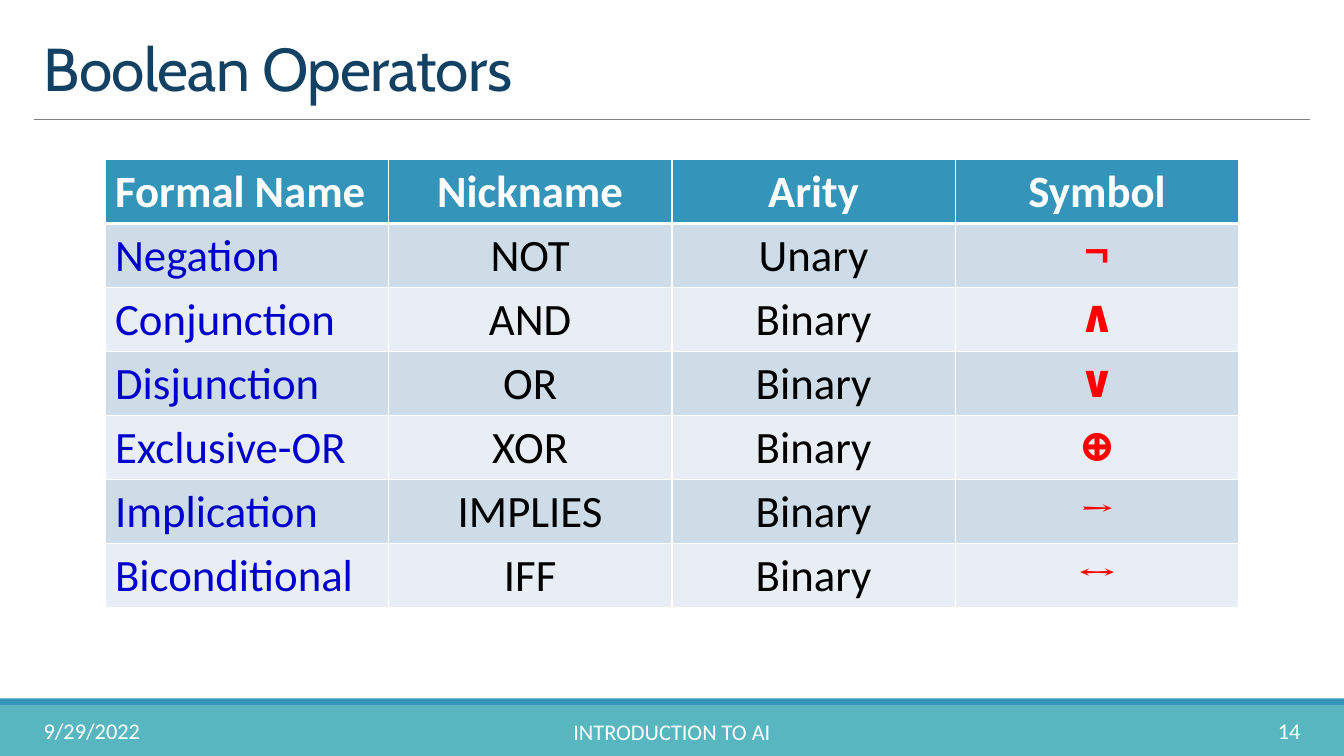
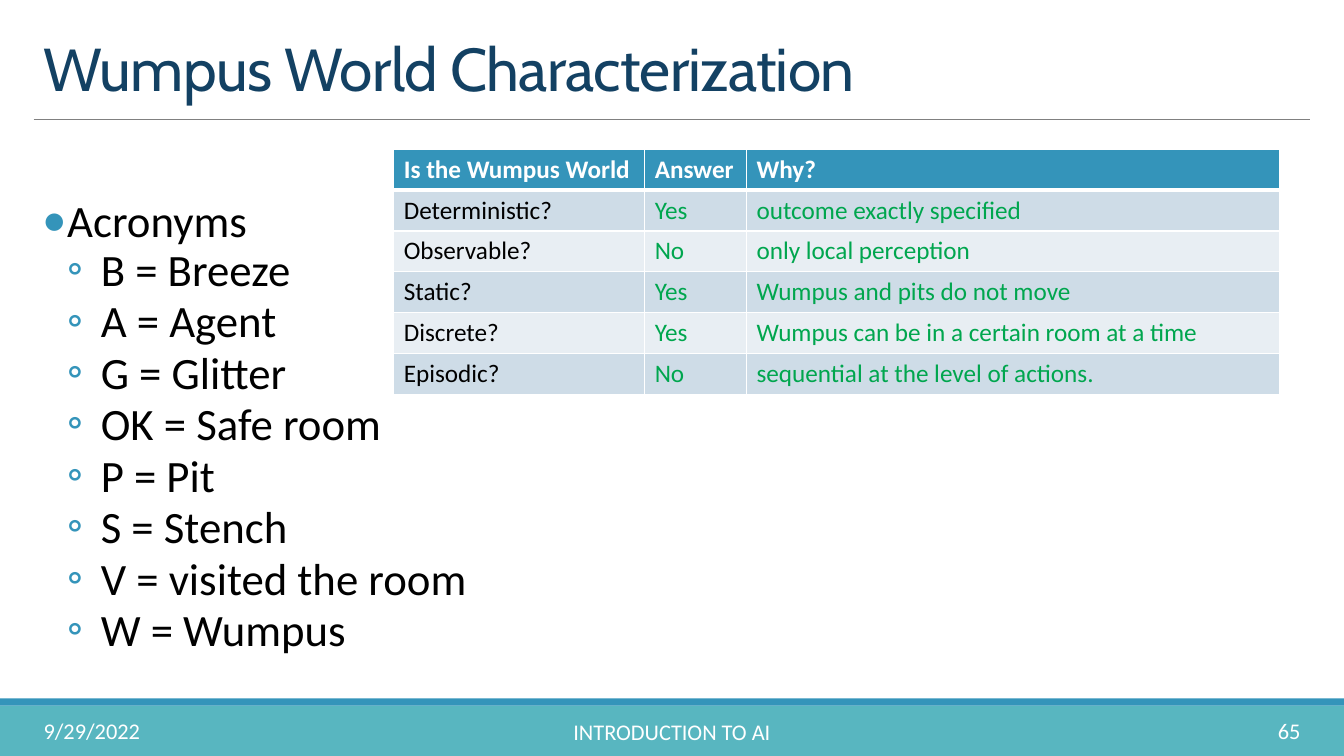
from collections import namedtuple

from lxml.etree import SubElement
from pptx import Presentation
from pptx.dml.color import RGBColor
from pptx.enum.shapes import MSO_CONNECTOR, MSO_SHAPE
from pptx.enum.text import MSO_ANCHOR, MSO_AUTO_SIZE, PP_ALIGN
from pptx.oxml.ns import qn
from pptx.util import Emu, Pt

EMU_PER_PX = 9525
PAGE_WIDTH, PAGE_HEIGHT = 1280, 720
MARGIN = 32
CONTENT_WIDTH = PAGE_WIDTH - 2 * MARGIN

WHITE = RGBColor(0xFF, 0xFF, 0xFF)
BLACK = RGBColor(0x00, 0x00, 0x00)
NAVY = RGBColor(0x13, 0x41, 0x63)
BLUE = RGBColor(0x34, 0x94, 0xBA)
TEAL = RGBColor(0x58, 0xB6, 0xC0)
GRAY = RGBColor(0x80, 0x80, 0x80)
INK_BLUE = RGBColor(0x00, 0x00, 0xCC)
RED = RGBColor(0xFF, 0x00, 0x00)
GREEN = RGBColor(0x00, 0xA6, 0x4E)
BANDS = (RGBColor(0xCE, 0xDC, 0xE7), RGBColor(0xE8, 0xEE, 0xF3))

TITLE_FONT, BODY_FONT, SYMBOL_FONT = "Cabin", "Calibri", "Cambria"
LEFT, CENTER, RIGHT = PP_ALIGN.LEFT, PP_ALIGN.CENTER, PP_ALIGN.RIGHT

Column = namedtuple("Column", "width align color font bold",
                    defaults=(LEFT, BLACK, BODY_FONT, False))

OPERATOR_COLUMNS = (
    Column(270, color=INK_BLUE),
    Column(270, CENTER),
    Column(270, CENTER),
    Column(270, CENTER, RED, SYMBOL_FONT, True),
)
OPERATORS = (
    ("Formal Name", "Nickname", "Arity", "Symbol"),
    ("Negation", "NOT", "Unary", "¬"),
    ("Conjunction", "AND", "Binary", "∧"),
    ("Disjunction", "OR", "Binary", "∨"),
    ("Exclusive-OR", "XOR", "Binary", "⊕"),
    ("Implication", "IMPLIES", "Binary", "→"),
    ("Biconditional", "IFF", "Binary", "↔"),
)
WUMPUS_COLUMNS = (Column(239), Column(97, color=GREEN), Column(508, color=GREEN))
WUMPUS_TRAITS = (
    ("Is the Wumpus World", "Answer", "Why?"),
    ("Deterministic?", "Yes", "outcome exactly specified"),
    ("Observable?", "No", "only local perception"),
    ("Static?", "Yes", "Wumpus and pits do not move"),
    ("Discrete?", "Yes", "Wumpus can be in a certain room at a time"),
    ("Episodic?", "No", "sequential at the level of actions."),
)
ACRONYMS = (
    "B = Breeze", "A = Agent", "G = Glitter", "OK = Safe room",
    "P = Pit", "S = Stench", "V = visited the room", "W = Wumpus",
)


def px(length):
    return Emu(length * EMU_PER_PX)


def place(shape, left, top, width, height):
    shape.left, shape.top = px(left), px(top)
    shape.width, shape.height = px(width), px(height)


def style_font(para, name, size, color, bold=False):
    font = para.font
    font.name, font.size, font.bold = name, Pt(size), bold
    font.color.rgb = color


def draw_band(page, top, height, color):
    band = page.shapes.add_shape(MSO_SHAPE.RECTANGLE, 0, px(top), px(PAGE_WIDTH), px(height))
    band.shadow.inherit = False
    band.fill.solid()
    band.fill.fore_color.rgb = color
    band.line.fill.background()
    return band


def draw_rule(page, y):
    rule = page.shapes.add_connector(
        MSO_CONNECTOR.STRAIGHT, px(MARGIN), px(y), px(PAGE_WIDTH - MARGIN), px(y))
    rule.line.color.rgb = GRAY
    rule.line.width = Pt(0.5)
    SubElement(rule.element.spPr, qn("a:effectLst"))
    return rule


def furnish_master(deck, page):
    tree = deck.slide_master.placeholders[0].element.getparent()
    furniture = (
        draw_band(page, 672, 48, TEAL),
        draw_band(page, 665, 7, BLUE),
        draw_rule(page, 114),
    )
    for position, shape in enumerate(furniture):
        shape.element.xpath("./*[1]/p:cNvPr")[0].set("id", str(101 + position))
        tree.insert(2 + position, shape.element)


def set_title(page, text):
    title = page.shapes.title
    place(title, MARGIN, 30, CONTENT_WIDTH, 74)
    frame = title.text_frame
    frame.text = text
    frame.auto_size = MSO_AUTO_SIZE.NONE
    frame.vertical_anchor = MSO_ANCHOR.BOTTOM
    para = frame.paragraphs[0]
    para.alignment = LEFT
    para.line_spacing = 0.85
    style_font(para, TITLE_FONT, 43.2, NAVY)
    para.runs[0].font._element.set("spc", "-50")


def add_footer_text(page, text, left, top, width, align):
    box = page.shapes.add_textbox(px(left), px(top), px(width), px(38))
    frame = box.text_frame
    frame.word_wrap = True
    frame.vertical_anchor = MSO_ANCHOR.MIDDLE
    para = frame.paragraphs[0]
    para.text = text
    para.alignment = align
    style_font(para, BODY_FONT, 16, WHITE)


def add_page(deck, layout_index, title, number):
    page = deck.slides.add_slide(deck.slide_layouts[layout_index])
    set_title(page, title)
    add_footer_text(page, "9/29/2022", MARGIN, 677, 259, LEFT)
    add_footer_text(page, "INTRODUCTION TO AI", 387, 678, 506, CENTER)
    add_footer_text(page, str(number), 1111, 677, 137, RIGHT)
    return page


def set_borders(cell, top, bottom):
    properties = cell._tc.get_or_add_tcPr()
    sides = (("L", 1), ("R", 1), ("T", top), ("B", bottom))
    for position, (side, points) in enumerate(sides):
        border = SubElement(properties, qn(f"a:ln{side}"), w=str(Pt(points)))
        fill = SubElement(border, qn("a:solidFill"))
        SubElement(fill, qn("a:srgbClr"), val=str(WHITE))
        properties.insert(position, border)


def fill_cell(cell, text, column, row_index, size):
    header = row_index == 0
    cell.fill.solid()
    cell.fill.fore_color.rgb = BLUE if header else BANDS[(row_index - 1) % 2]
    set_borders(cell, 3 if row_index == 1 else 1, 3 if header else 1)
    para = cell.text_frame.paragraphs[0]
    para.text = text
    para.alignment = column.align
    if header:
        style_font(para, BODY_FONT, size, WHITE, True)
    else:
        style_font(para, column.font, size, column.color, column.bold)


def add_grid(page, left, top, row_height, columns, rows, size):
    width = sum(column.width for column in columns)
    table = page.shapes.add_table(
        len(rows), len(columns), px(left), px(top), px(width), px(row_height * len(rows))).table
    table.first_row = True
    table.horz_banding = False
    for index, column in enumerate(columns):
        table.columns[index].width = px(column.width)
    for row_index, row in enumerate(rows):
        for index, text in enumerate(row):
            fill_cell(table.cell(row_index, index), text, columns[index], row_index, size)


def set_bullet(para, character, margin, hanging, percent):
    properties = para._p.get_or_add_pPr()
    properties.set("marL", str(px(margin)))
    properties.set("indent", str(px(-hanging)))
    color = SubElement(properties, qn("a:buClr"))
    SubElement(color, qn("a:srgbClr"), val=str(BLUE))
    SubElement(properties, qn("a:buSzPct"), val=str(percent * 1000))
    SubElement(properties, qn("a:buFont"), typeface=BODY_FONT)
    SubElement(properties, qn("a:buChar"), char=character)


def fill_list(body, heading, items):
    place(body, MARGIN, 189, CONTENT_WIDTH, 467)
    frame = body.text_frame
    frame.text = "\n".join((heading, *items))
    frame.auto_size = MSO_AUTO_SIZE.NONE
    frame.margin_left = frame.margin_right = 0
    for index, para in enumerate(frame.paragraphs):
        nested = index > 0
        para.level = int(nested)
        para.line_spacing = 0.8
        para.space_before = Pt(2 if nested else 12)
        para.space_after = Pt(4 if nested else 2)
        if nested:
            set_bullet(para, "◦", 64, 32, 100)
        else:
            set_bullet(para, "•", 32, 24, 110)
        style_font(para, BODY_FONT, 32, BLACK)


def main():
    deck = Presentation()
    deck.slide_width, deck.slide_height = px(PAGE_WIDTH), px(PAGE_HEIGHT)

    operators = add_page(deck, 5, "Boolean Operators", 14)
    furnish_master(deck, operators)
    add_grid(operators, 100, 152, 61, OPERATOR_COLUMNS, OPERATORS, 32)

    wumpus = add_page(deck, 1, "Wumpus World Characterization", 65)
    fill_list(wumpus.placeholders[1], "Acronyms", ACRONYMS)
    add_grid(wumpus, 375, 142, 39, WUMPUS_COLUMNS, WUMPUS_TRAITS, 18)

    deck.save("out.pptx")


if __name__ == "__main__":
    main()
